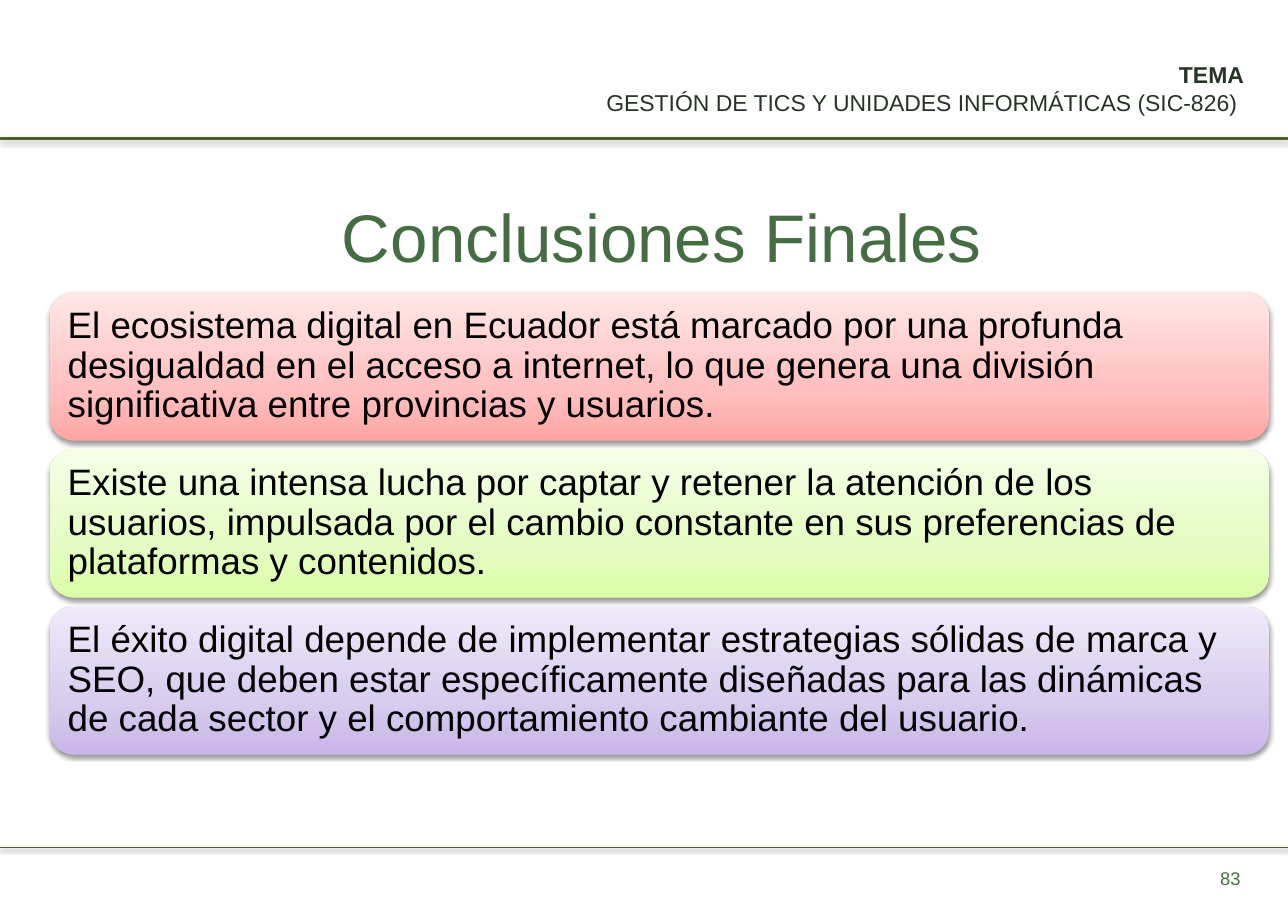
"""Build the closing slide with three gradient conclusion bars."""
from copy import deepcopy
from dataclasses import dataclass

from lxml.etree import SubElement
from pptx import Presentation
from pptx.dml.color import RGBColor as RGB
from pptx.enum.shapes import MSO_CONNECTOR as Conn, MSO_SHAPE as Shape
from pptx.enum.text import MSO_ANCHOR as Anchor, PP_ALIGN as Align
from pptx.oxml.ns import qn
from pptx.util import Emu, Inches, Pt


@dataclass(frozen=True)
class Theme:
    font: str = "Arial"
    rule: str = "4E6128"
    header: str = "273326"
    green: str = "446E42"
    body: str = "000000"
    title_pt: int = 44
    body_pt: int = 24
    header_pt: int = 15
    number_pt: int = 12
    shadow: str = "000000"
    shadow_alpha: int = 38


@dataclass(frozen=True)
class Box:
    x: float
    y: float
    w: float
    h: float


@dataclass(frozen=True)
class Label:
    box: Box
    lines: tuple[str, ...]
    size: int
    color: str
    align: Align
    anchor: Anchor
    inset: tuple[float, float]
    bold_first: bool = False


@dataclass(frozen=True)
class Rule:
    y: float
    width: float


@dataclass(frozen=True)
class Bar:
    text: str
    stops: tuple[str, str, str]


T = Theme()
WIDTH, HEIGHT = Inches(11.69), Inches(8.27)
GRID = 100
STOP_POSITIONS = (0, 0.35, 1)
BAR_BOX = Box(3.85, 32.05, 94.7, 16.32)
BAR_PITCH = 17.24

RULES = (Rule(15.24, 2), Rule(92.99, 0.75))
LABELS = (
    Label(Box(35.59, 5.93, 61.93, 7.38),
          ("TEMA", "GESTIÓN DE TICS Y UNIDADES INFORMÁTICAS (SIC-826) "),
          T.header_pt, T.header, Align.RIGHT, Anchor.BOTTOM, (0.11, 0.05), True),
    Label(Box(6.42, 20.19, 90, 14.03), ("Conclusiones Finales",),
          T.title_pt, T.green, Align.CENTER, Anchor.TOP, (0.1, 0.1)),
    Label(Box(73.91, 93.71, 23.35, 5.32), ("83",),
          T.number_pt, T.green, Align.RIGHT, Anchor.MIDDLE, (0.11, 0.05)),
)
BARS = (
    Bar("El ecosistema digital en Ecuador está marcado por una profunda "
        "desigualdad en el acceso a internet, lo que genera una división "
        "significativa entre provincias y usuarios.",
        ("FFA6A5", "FFC0BF", "FFE7E7")),
    Bar("Existe una intensa lucha por captar y retener la atención de los "
        "usuarios, impulsada por el cambio constante en sus preferencias de "
        "plataformas y contenidos.",
        ("DAFDA7", "E4FCC2", "F5FFE7")),
    Bar("El éxito digital depende de implementar estrategias sólidas de marca y "
        "SEO, que deben estar específicamente diseñadas para las dinámicas de "
        "cada sector y el comportamiento cambiante del usuario.",
        ("C9B5E8", "D8CBEE", "F0EAF9")),
)


def col(n: float) -> Emu:
    return Emu(round(WIDTH * n / GRID))


def row(n: float) -> Emu:
    return Emu(round(HEIGHT * n / GRID))


def place(box: Box) -> tuple[Emu, Emu, Emu, Emu]:
    return col(box.x), row(box.y), col(box.w), row(box.h)


def add_shadow(s) -> None:
    effects = SubElement(s._element.spPr, qn("a:effectLst"))
    outer = SubElement(effects, qn("a:outerShdw"), blurRad=str(Pt(3.1)),
                       dist=str(Pt(1.6)), dir="5400000", rotWithShape="0")
    color = SubElement(outer, qn("a:srgbClr"), val=T.shadow)
    SubElement(color, qn("a:alpha"), val=str(T.shadow_alpha * 1000))


def set_frame(tf, anchor: Anchor, inset: tuple[float, float]) -> None:
    tf.word_wrap = True
    tf.vertical_anchor = anchor
    tf.margin_left = tf.margin_right = Inches(inset[0])
    tf.margin_top = tf.margin_bottom = Inches(inset[1])


def set_text(p, text: str, size: int, color: str, align: Align, bold: bool = False) -> None:
    p.text = text
    p.alignment = align
    p.font.name = T.font
    p.font.size = Pt(size)
    p.font.bold = bold
    p.font.color.rgb = RGB.from_string(color)


def add_rule(slide, rule: Rule) -> None:
    s = slide.shapes.add_connector(Conn.STRAIGHT, 0, row(rule.y), WIDTH, row(rule.y))
    s.line.color.rgb = RGB.from_string(T.rule)
    s.line.width = Pt(rule.width)
    add_shadow(s)


def add_label(slide, label: Label) -> None:
    tf = slide.shapes.add_textbox(*place(label.box)).text_frame
    set_frame(tf, label.anchor, label.inset)
    for i, line in enumerate(label.lines):
        p = tf.add_paragraph() if i else tf.paragraphs[0]
        set_text(p, line, label.size, label.color, label.align,
                 label.bold_first and i == 0)


def add_bar(slide, bar: Bar, index: int) -> None:
    box = Box(BAR_BOX.x, BAR_BOX.y + index * BAR_PITCH, BAR_BOX.w, BAR_BOX.h)
    s = slide.shapes.add_shape(Shape.ROUNDED_RECTANGLE, *place(box))
    s.line.fill.background()
    s.fill.gradient()
    s.fill.gradient_angle = 90
    stop_list = s._element.spPr.find(".//" + qn("a:gsLst"))
    stop_list.append(deepcopy(stop_list[0]))
    for stop, position, color in zip(s.fill.gradient_stops, STOP_POSITIONS, bar.stops):
        stop.position = position
        stop.color.rgb = RGB.from_string(color)
    add_shadow(s)
    set_frame(s.text_frame, Anchor.MIDDLE, (0.1, 0.1))
    p = s.text_frame.paragraphs[0]
    set_text(p, bar.text, T.body_pt, T.body, Align.LEFT)
    p.line_spacing = 0.9


def main() -> None:
    prs = Presentation()
    prs.slide_width, prs.slide_height = WIDTH, HEIGHT
    slide = prs.slides.add_slide(prs.slide_layouts[6])
    for rule in RULES:
        add_rule(slide, rule)
    for label in LABELS:
        add_label(slide, label)
    for i, bar in enumerate(BARS):
        add_bar(slide, bar, i)
    prs.save("out.pptx")


if __name__ == "__main__":
    main()
